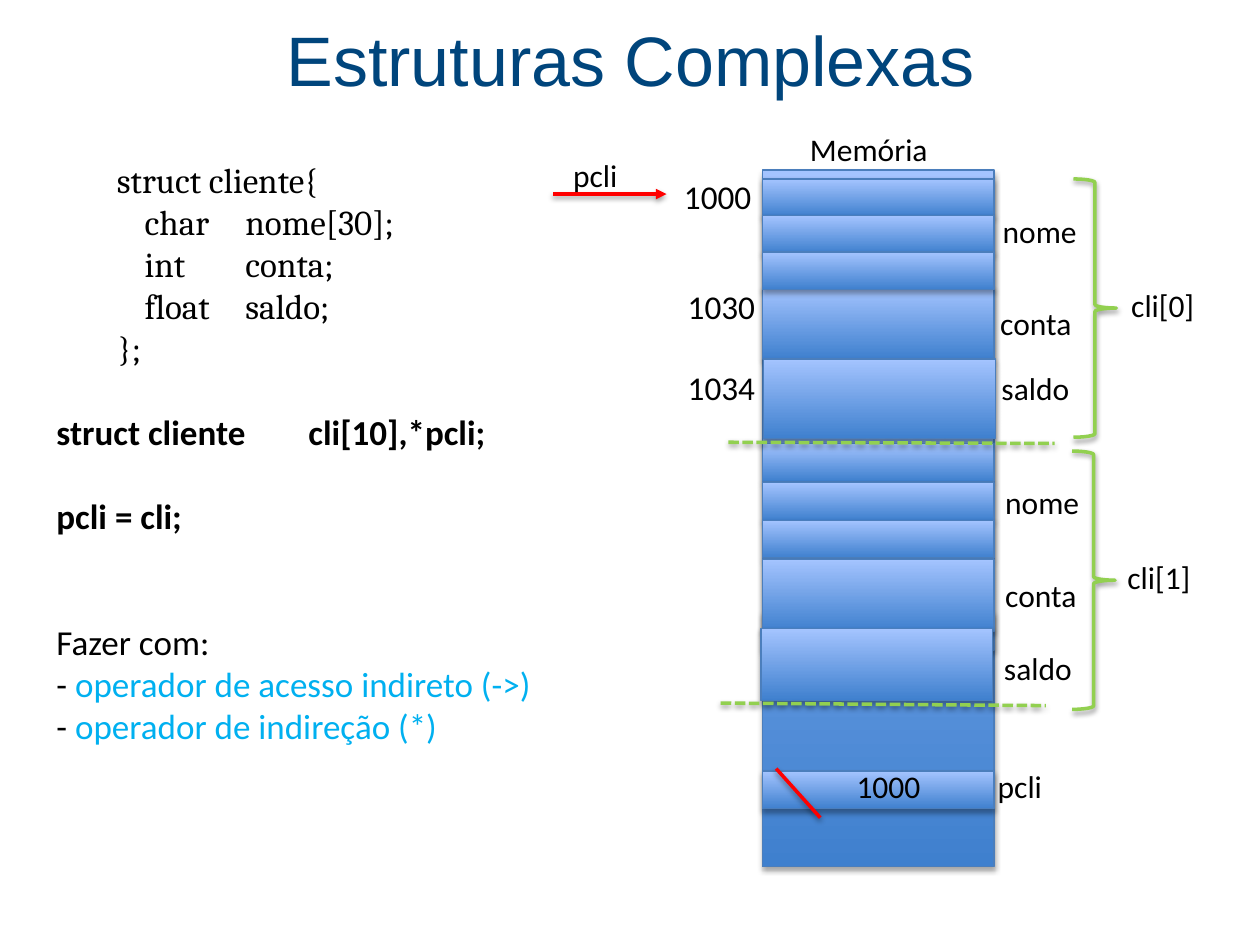
"""Builds the slide on complex structures: struct code beside a memory map."""
import pptx
import pptx.dml.color
import pptx.enum.dml
import pptx.enum.shapes
import pptx.enum.text
import pptx.oxml
import pptx.oxml.ns
import pptx.util

Inches = pptx.util.Inches
Pt = pptx.util.Pt
rgb = pptx.dml.color.RGBColor.from_string
SHAPE = pptx.enum.shapes.MSO_SHAPE
NS = pptx.oxml.ns.nsdecls("a")


def add_text(x, y, w, h, text, color="000000", center=False, **fmt):
    tf = s.shapes.add_textbox(Inches(x), Inches(y), Inches(w), Inches(h)).text_frame
    tf.word_wrap = True
    tf.vertical_anchor = pptx.enum.text.MSO_ANCHOR.MIDDLE
    p = tf.paragraphs[0]
    if center:
        p.alignment = pptx.enum.text.PP_ALIGN.CENTER
    r = p.add_run()
    r.text = text
    for name, value in {"name": "Calibri", "size": Pt(18), **fmt}.items():
        setattr(r.font, name, value)
    r.font.color.rgb = rgb(color)


def outline(sp, color, width, alpha, dist):
    sp.line.color.rgb = rgb(color)
    sp.line.width = Pt(width)
    sp._element.spPr.append(pptx.oxml.parse_xml(
        f'<a:effectLst {NS}><a:outerShdw blurRad="{Pt(3.1)}" dist="{Pt(dist)}" '
        f'dir="5400000" rotWithShape="0"><a:srgbClr val="000000">'
        f'<a:alpha val="{alpha * 1000}"/></a:srgbClr></a:outerShdw></a:effectLst>'))


prs = pptx.Presentation()
prs.slide_width, prs.slide_height = Inches(10), Inches(7.5)
s = prs.slides.add_slide(prs.slide_layouts[6])

add_text(0.35, 0.03, 9.31, 0.87, "Estruturas Complexas", "00457C", True,
         name="Arial", size=Pt(40))

CODE = {"name": "Cambria", "bold": False}
BOLD = {"name": "Calibri", "bold": True}
PLAIN = {"name": "Calibri", "bold": False}
lines = [
    (0.48, 0, None, CODE, [("struct cliente{", "000000")]),
    (0.7, 0, 1.49, CODE, [("char\tnome[30];", "000000")]),
    (0.7, 0, 1.49, CODE, [("int\tconta;", "000000")]),
    (0.7, 0, 1.49, CODE, [("float\tsaldo;", "000000")]),
    (0.49, 0, None, CODE, [("};", "000000")]),
    (0, 24, 2, BOLD, [("struct cliente\tcli[10],*pcli;", "000000")]),
    (0, 24, None, BOLD, [("pcli = cli;", "000000")]),
    (0, 48, None, PLAIN, [("Fazer com:", "000000")]),
    (0, 0, None, PLAIN, [("- ", "000000"), ("operador de acesso indireto (->)", "00B0F0")]),
    (0, 0, None, PLAIN, [("- ", "000000"), ("operador de indireção (*)", "00B0F0")]),
]
tf = s.shapes.add_textbox(Inches(0.35), Inches(1.21), Inches(5.33), Inches(6.25)).text_frame
tf.word_wrap = True
for i, (indent, before, tab, fmt, runs) in enumerate(lines):
    p = tf.paragraphs[0] if i == 0 else tf.add_paragraph()
    pPr = p._p.get_or_add_pPr()
    pPr.set("marL", "0")
    pPr.set("indent", str(Inches(indent)))
    if tab:
        pPr.append(pptx.oxml.parse_xml(
            f'<a:tabLst {NS}><a:tab pos="{Inches(tab)}" algn="l"/></a:tabLst>'))
    if before:
        p.space_before = Pt(before)
    for text, color in runs:
        r = p.add_run()
        r.text = text
        for name, value in {"size": Pt(20), **fmt}.items():
            setattr(r.font, name, value)
        r.font.color.rgb = rgb(color)

cells = [(6.05, 1.35, 5.53), (6.05, 1.42, 0.3), (6.05, 2.28, 0.57), (6.05, 1.71, 0.3),
         (6.06, 2.85, 0.63), (6.05, 2, 0.3), (6.05, 3.52, 0.3), (6.05, 3.83, 0.3),
         (6.05, 4.13, 0.3), (6.05, 4.86, 0.3), (6.05, 6.12, 0.3), (6.05, 4.44, 0.57),
         (6.04, 4.99, 0.57)]
for x, y, h in cells:
    sp = s.shapes.add_shape(SHAPE.RECTANGLE, Inches(x), Inches(y), Inches(1.84), Inches(h))
    sp.fill.gradient()
    sp.fill.gradient_angle = 90
    for stop, color in zip(sp.fill.gradient_stops, ("3F80CE", "A4C4FF")):
        stop.color.rgb = rgb(color)
    outline(sp, "4B7EBC", 0.75, 35, 1.8)

for x, y in ((8.52, 1.42), (8.51, 3.58)):
    sp = s.shapes.add_shape(SHAPE.RIGHT_BRACE, Inches(x), Inches(y), Inches(0.34), Inches(2.05))
    sp.fill.background()
    outline(sp, "92D050", 2, 38, 1.6)

connectors = [
    (5.78, 3.51, 8.37, 3.52, "92D050", True, False),
    (5.72, 5.58, 8.3, 5.6, "92D050", True, False),
    (6.16, 6.1, 6.51, 6.49, "FF0000", False, False),
    (4.39, 1.54, 5.29, 1.54, "FF0000", False, True),
]
for x1, y1, x2, y2, color, dashed, arrow in connectors:
    sp = s.shapes.add_connector(pptx.enum.shapes.MSO_CONNECTOR.STRAIGHT,
                                Inches(x1), Inches(y1), Inches(x2), Inches(y2))
    outline(sp, color, 2, 38, 1.6)
    if dashed:
        sp.line.dash_style = pptx.enum.dml.MSO_LINE.SQUARE_DOT
    if arrow:
        sp._element.spPr.find(pptx.oxml.ns.qn("a:ln")).append(
            pptx.oxml.parse_xml(f'<a:tailEnd {NS} type="triangle"/>'))

labels = [
    (6.33, 0.98, 1.91, "Memória"), (4.45, 1.19, 0.8, "pcli"),
    (7.86, 1.63, 0.84, "nome"), (7.84, 2.36, 0.84, "conta"), (7.85, 2.88, 0.84, "saldo"),
    (7.88, 3.78, 0.84, "nome"), (7.88, 4.52, 0.84, "conta"), (7.87, 5.1, 0.84, "saldo"),
    (8.88, 2.22, 1, "cli[0]"), (8.85, 4.38, 1, "cli[1]"),
    (6.7, 6.04, 0.84, "1000"), (7.82, 6.04, 0.84, "pcli"),
]
for x, y, w, text in labels:
    add_text(x, y, w, 0.4, text)

for x, y, text in ((5.33, 1.35, "1000"), (5.36, 2.22, "1030"), (5.36, 2.86, "1034")):
    add_text(x, y, 0.85, 0.42, text, size=Pt(19))

prs.save("out.pptx")
